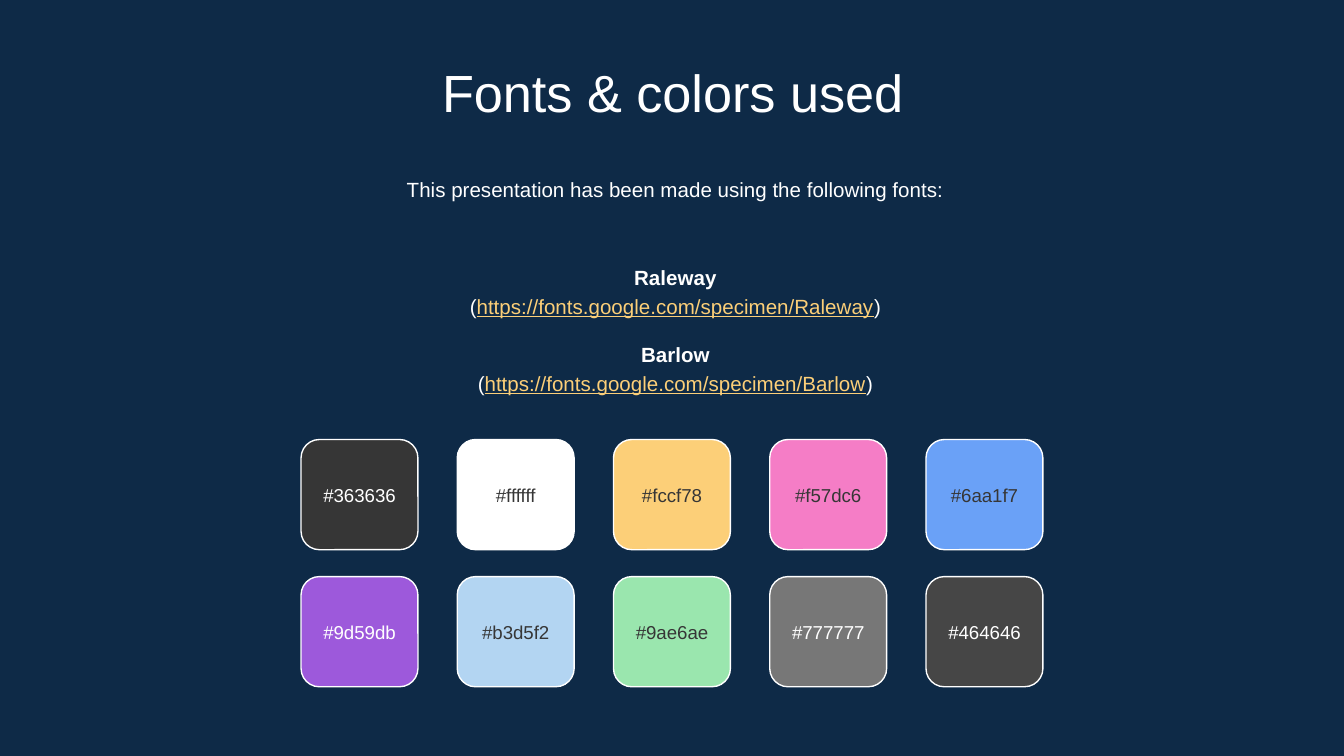
from pptx import Presentation
from pptx import util as u
from pptx.dml.color import RGBColor
from pptx.enum import shapes, text

FONT = "Arial"
NAVY, WHITE, DARK, GOLD = "0E2A47", "FFFFFF", "363636", "FCCF78"
FONT_LINKS = [
    ("Raleway", "https://fonts.google.com/specimen/Raleway"),
    ("Barlow", "https://fonts.google.com/specimen/Barlow"),
]
SWATCHES = [
    [("363636", WHITE), ("ffffff", DARK), ("fccf78", DARK), ("f57dc6", DARK), ("6aa1f7", DARK)],
    [("9d59db", WHITE), ("b3d5f2", DARK), ("9ae6ae", DARK), ("777777", WHITE), ("464646", WHITE)],
]


def color(code):
    """Turn a hex string into a colour."""
    return RGBColor.from_string(code.upper())


def style(font, size, code, bold=False, underline=False):
    """Format the font of a run."""
    font.name, font.size = FONT, u.Pt(size)
    font.bold, font.underline = bold, underline
    font.color.rgb = color(code)


def prepare_frame(shape, anchor):
    """Set wrapping, insets and anchor of a shape's text, and return its frame."""
    frame = shape.text_frame
    frame.word_wrap = True
    frame.auto_size = text.MSO_AUTO_SIZE.NONE
    frame.vertical_anchor = anchor
    frame.margin_left = frame.margin_right = u.Inches(0.1)
    frame.margin_top = frame.margin_bottom = u.Inches(0.1)
    return frame


def add_box(page, left, top, width, height, anchor):
    """Add a text box and return its frame."""
    box = page.shapes.add_textbox(*map(u.Inches, (left, top, width, height)))
    return prepare_frame(box, anchor)


def write(para, spans, size, spacing=1.0):
    """Fill a centred paragraph with (words, colour, bold, underline) spans."""
    para.alignment = text.PP_ALIGN.CENTER
    para.line_spacing = spacing
    for words, code, bold, underline in spans:
        span = para.add_run()
        span.text = words
        style(span.font, size, code, bold, underline)


def add_title(page, left, top, width, height):
    """Place the slide title in its placeholder."""
    title = page.shapes.title
    title.left, title.top = u.Inches(left), u.Inches(top)
    title.width, title.height = u.Inches(width), u.Inches(height)
    frame = prepare_frame(title, text.MSO_ANCHOR.TOP)
    write(frame.paragraphs[0], [("Fonts & colors used", WHITE, False, False)], 28)


def add_intro(page, left, top, width, height):
    """Place the introductory sentence."""
    frame = add_box(page, left, top, width, height, text.MSO_ANCHOR.TOP)
    sentence = "This presentation has been made using the following fonts:"
    write(frame.paragraphs[0], [(sentence, WHITE, False, False)], 11, 1.15)


def add_font_list(page, left, top, width, height):
    """Place each font name above its web address."""
    frame = add_box(page, left, top, width, height, text.MSO_ANCHOR.MIDDLE)
    for index, (name, address) in enumerate(FONT_LINKS):
        heading = frame.add_paragraph() if index else frame.paragraphs[0]
        if index:
            heading.space_before = u.Pt(11)
        write(heading, [(name, WHITE, True, False)], 11, 1.15)
        link = [("(", WHITE, False, False), (address, GOLD, False, True), (")", WHITE, False, False)]
        write(frame.add_paragraph(), link, 11, 1.15)


def add_swatch(page, left, top, width, height, code, label_code):
    """Draw one rounded swatch with its colour code centred on it."""
    swatch = page.shapes.add_shape(
        shapes.MSO_SHAPE.ROUNDED_RECTANGLE, *map(u.Inches, (left, top, width, height)))
    swatch.shadow.inherit = False
    swatch.fill.solid()
    swatch.fill.fore_color.rgb = color(code)
    swatch.line.color.rgb = color(WHITE)
    swatch.line.width = u.Pt(0.75)
    label_height = 0.48
    label_top = top + (height - label_height) / 2
    frame = add_box(page, left, label_top, width, label_height, text.MSO_ANCHOR.MIDDLE)
    write(frame.paragraphs[0], [("#" + code, label_code, False, False)], 10)


def add_palette(page, left, top, width, height):
    """Lay out the swatches in an even grid across the given box."""
    swatch_width, swatch_height = 0.87, 0.82
    step_x = (width - swatch_width) / (len(SWATCHES[0]) - 1)
    step_y = (height - swatch_height) / (len(SWATCHES) - 1)
    for row, swatches in enumerate(SWATCHES):
        for column, (code, label_code) in enumerate(swatches):
            add_swatch(page, left + column * step_x, top + row * step_y,
                       swatch_width, swatch_height, code, label_code)


def main():
    """Build the deck and save it."""
    deck = Presentation()
    deck.slide_width = u.Inches(10)
    deck.slide_height = deck.slide_width * 9 // 16
    page = deck.slides.add_slide(deck.slide_layouts.get_by_name("Title Only"))
    page.background.fill.solid()
    page.background.fill.fore_color.rgb = color(NAVY)
    add_title(page, 1.15, 0.35, 7.71, 0.53)
    add_intro(page, 1.17, 1.19, 7.71, 0.48)
    add_font_list(page, 1.17, 1.76, 7.71, 1.37)
    add_palette(page, 2.24, 3.27, 5.52, 1.84)
    deck.save("out.pptx")


if __name__ == "__main__":
    main()
